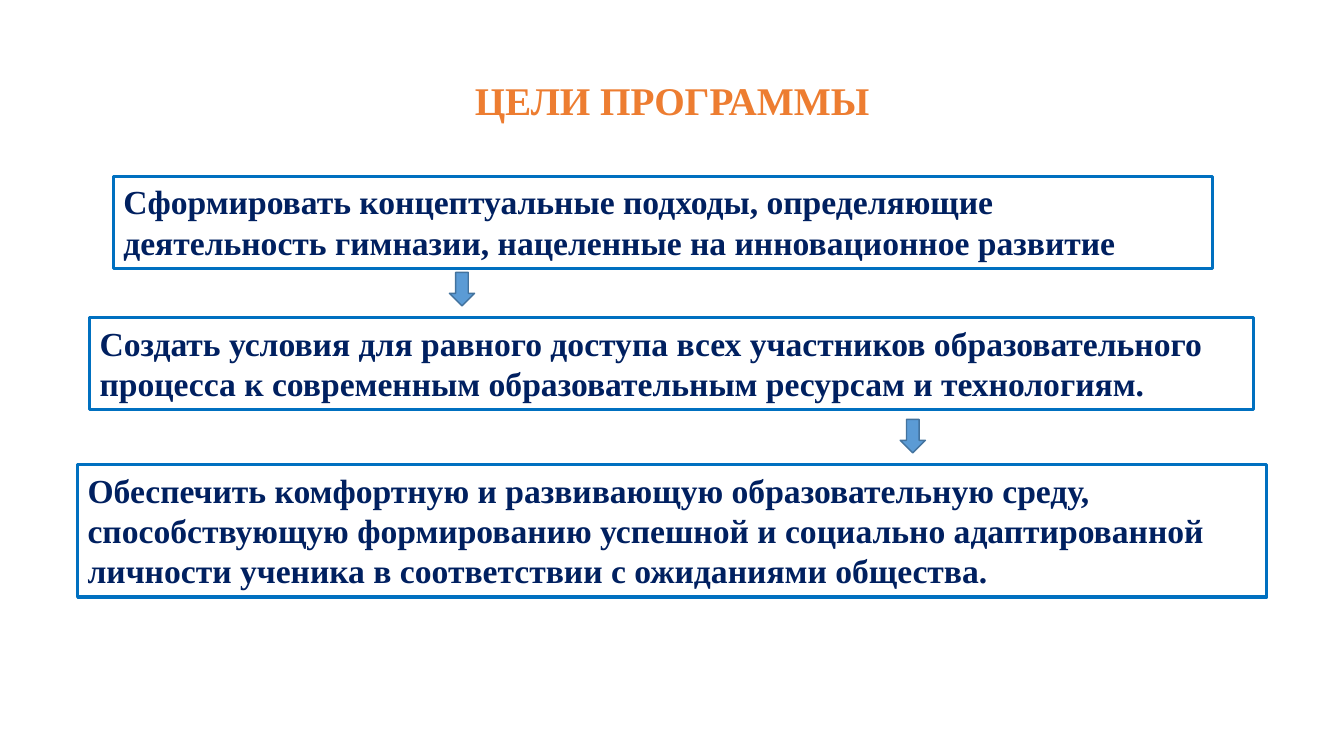
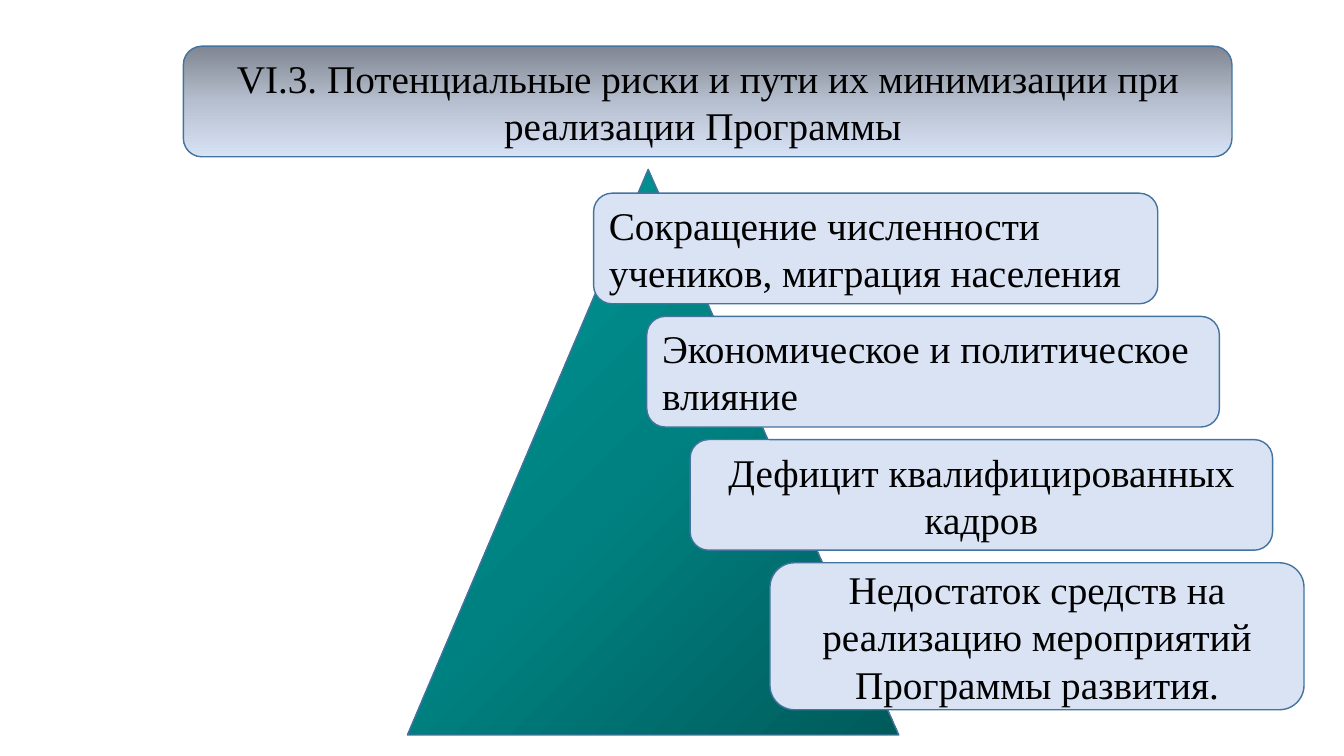
from dataclasses import dataclass

from lxml import etree
from pptx import Presentation
from pptx.dml.color import RGBColor
from pptx.enum import shapes, text
from pptx.oxml.ns import qn
from pptx.util import Pt

SHAPE = shapes.MSO_SHAPE
LEFT, CENTER = text.PP_ALIGN.LEFT, text.PP_ALIGN.CENTER
TOP, MIDDLE = text.MSO_ANCHOR.TOP, text.MSO_ANCHOR.MIDDLE


@dataclass(frozen=True)
class Theme:
    font: str = "Times New Roman"
    large: int = 28
    body: int = 24
    heading: str = "ED7D31"
    navy: str = "002060"
    black: str = "000000"
    frame: str = "0070C0"
    arrow: str = "5B9BD5"
    outline: str = "43739E"
    panel: str = "DAE3F3"
    banner: tuple = ("808691", "B6BFCF", "D8E2F5")
    pyramid: tuple = ("005B5B", "008181", "009999")


T = Theme()

GOALS = [  # left, top, width, height, text
    (81, 126, 785, 65.5, "Сформировать концептуальные подходы, определяющие "
     "деятельность гимназии, нацеленные на инновационное развитие"),
    (64, 227, 831.5, 65.5, "Создать условия для равного доступа всех участников "
     "образовательного процесса к современным образовательным ресурсам и технологиям."),
    (55.5, 332, 849.5, 94.5, "Обеспечить комфортную и развивающую образовательную среду, "
     "способствующую формированию успешной и социально адаптированной личности "
     "ученика в соответствии с ожиданиями общества."),
]
ARROWS = [(321, 194.5), (643, 299.5)]

RISKS = [  # left, width, height, alignment, text
    (424, 403, 79, LEFT, "Сокращение численности учеников, миграция населения"),
    (462, 409, 79, LEFT, "Экономическое и политическое влияние"),
    (493, 416, 79, CENTER, "Дефицит квалифицированных кадров"),
    (550, 381.5, 105, CENTER,
     "Недостаток средств на реализацию мероприятий Программы развития."),
]
RISK_TOP, RISK_GAP = 138, 9


def rgb(value):
    return RGBColor.from_string(value)


def add_shape(s, kind, box, fill=None, line=T.outline, weight=1):
    sp = s.shapes.add_shape(kind, *map(Pt, box))
    sp.shadow.inherit = False
    if fill:
        sp.fill.solid()
        sp.fill.fore_color.rgb = rgb(fill)
    else:
        sp.fill.background()
    sp.line.color.rgb = rgb(line)
    sp.line.width = Pt(weight)
    return sp


def set_gradient(sp, colors, angle=None):
    """Spread colors evenly, along angle or, without one, out from the lower right corner."""
    sp.fill.gradient()
    grad = sp._element.spPr.find(qn("a:gradFill"))
    grad.clear()
    grad.set("rotWithShape", "1")
    stops = etree.SubElement(grad, qn("a:gsLst"))
    for i, color in enumerate(colors):
        stop = etree.SubElement(stops, qn("a:gs"), pos=str(100000 * i // (len(colors) - 1)))
        etree.SubElement(stop, qn("a:srgbClr"), val=color)
    if angle is None:
        route = etree.SubElement(grad, qn("a:path"), path="circle")
        etree.SubElement(route, qn("a:fillToRect"), l="100000", t="100000")
    else:
        etree.SubElement(grad, qn("a:lin"), ang=str(angle * 60000), scaled="0")


def write(sp, words, size, color, bold=False, align=LEFT, anchor=TOP, wrap=True):
    tf = sp.text_frame
    tf.word_wrap = wrap
    tf.vertical_anchor = anchor
    p = tf.paragraphs[0]
    p.text = words
    p.alignment = align
    p.font.name = T.font
    p.font.size = Pt(size)
    p.font.bold = bold
    p.font.color.rgb = rgb(color)


def build_goals(s):
    title = s.shapes.add_textbox(*map(Pt, (330, 51, 300, 41)))
    write(title, "ЦЕЛИ ПРОГРАММЫ", T.large, T.heading, bold=True, align=CENTER, wrap=False)
    for *box, words in GOALS:
        sp = add_shape(s, SHAPE.RECTANGLE, box, line=T.frame, weight=2.25)
        write(sp, words, T.body, T.navy, bold=True)
    for x, y in ARROWS:
        add_shape(s, SHAPE.DOWN_ARROW, (x, y, 18, 24), T.arrow)


def build_risks(s):
    pyramid = add_shape(s, SHAPE.ISOSCELES_TRIANGLE, (291, 121, 351, 404))
    pyramid.adjustments[0] = 0.49
    set_gradient(pyramid, T.pyramid)

    banner = add_shape(s, SHAPE.ROUNDED_RECTANGLE, (131, 33, 749, 79))
    set_gradient(banner, T.banner, angle=90)
    write(banner, "VI.3. Потенциальные риски и пути их минимизации при реализации Программы ",
          T.large, T.black, align=CENTER, anchor=MIDDLE)

    y = RISK_TOP
    for x, w, h, align, words in RISKS:
        sp = add_shape(s, SHAPE.ROUNDED_RECTANGLE, (x, y, w, h), T.panel)
        write(sp, words, T.large, T.black, align=align, anchor=MIDDLE)
        y += h + RISK_GAP


def main():
    prs = Presentation()
    prs.slide_width, prs.slide_height = Pt(960), Pt(540)
    blank = prs.slide_layouts[6]
    for build in (build_goals, build_risks):
        build(prs.slides.add_slide(blank))
    prs.save("out.pptx")


if __name__ == "__main__":
    main()
